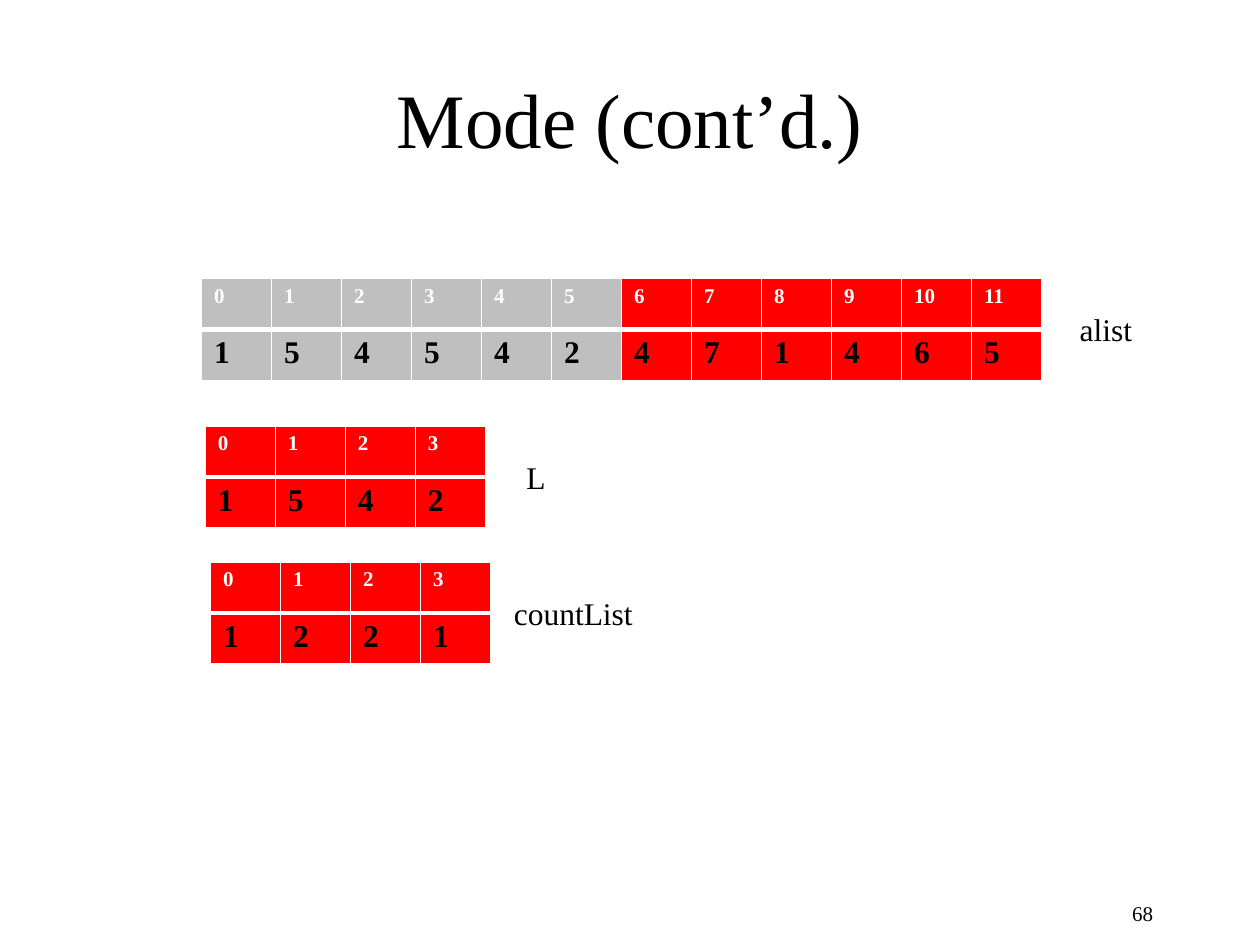
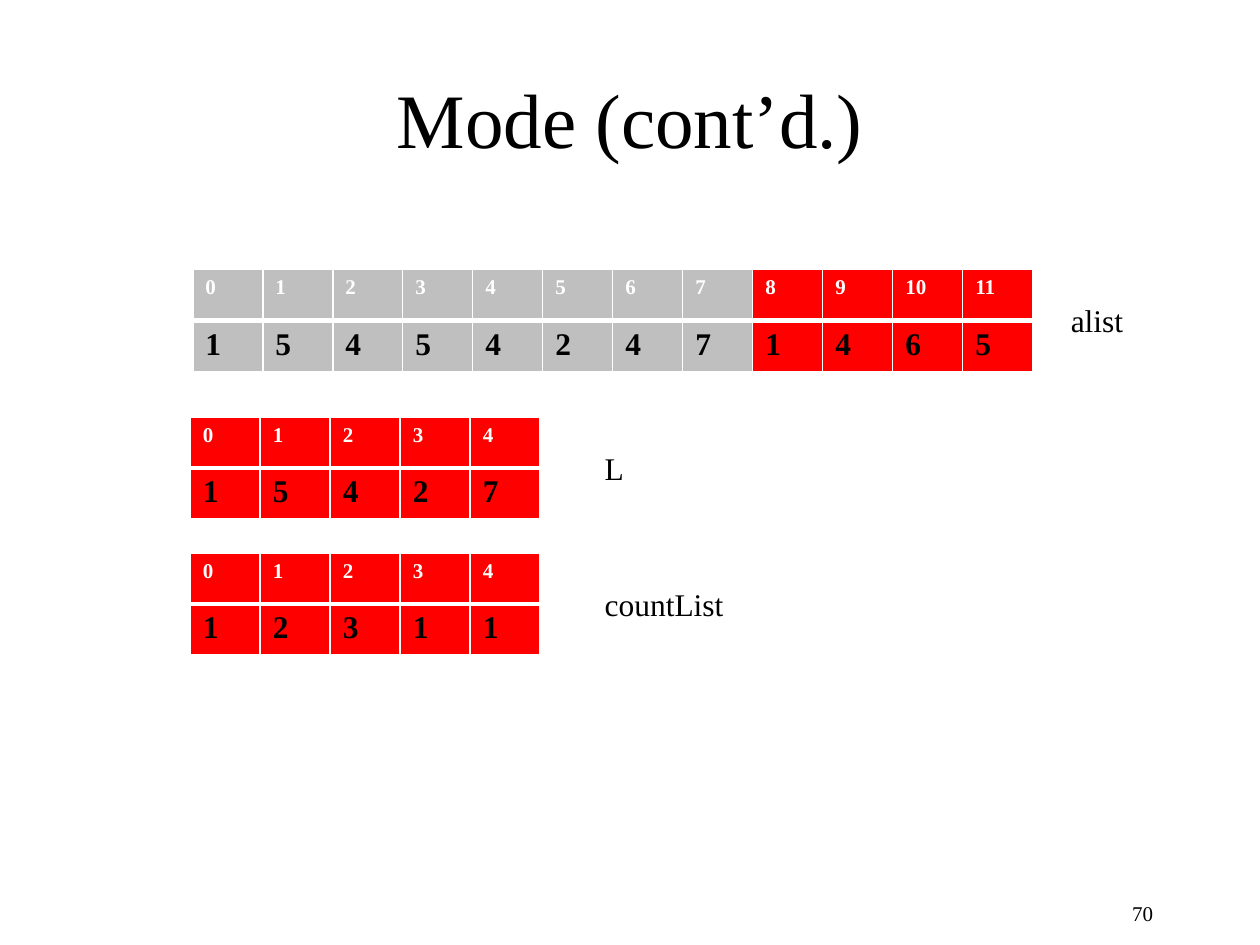
from lxml import etree
from pptx import Presentation
from pptx.dml.color import RGBColor
from pptx.enum.text import MSO_ANCHOR, PP_ALIGN
from pptx.oxml.ns import qn
from pptx.util import Inches, Pt

LEFT, CENTER, RIGHT = PP_ALIGN.LEFT, PP_ALIGN.CENTER, PP_ALIGN.RIGHT
TOP, MIDDLE = MSO_ANCHOR.TOP, MSO_ANCHOR.MIDDLE

SLIDE_WIDTH, SLIDE_HEIGHT = 10, 7.5
COLUMN_WIDTH = SLIDE_WIDTH / 18
ROW_HEIGHT = 0.054 * SLIDE_HEIGHT
LABEL_DROP = ROW_HEIGHT / 2
ARRAY_OFFSETS = (0, 1.17, 2.25)  # tops of the three arrays below the first one

FONT = "Times New Roman"
BLACK, WHITE = "000000", "FFFFFF"
VISITED, ACTIVE = "BFBFBF", "FF0000"
TITLE_SIZE, BODY_SIZE, SMALL_SIZE = 44, 18, 12
THIN, THICK = 1, 3

ALIST = [1, 5, 4, 5, 4, 2, 4, 7, 1, 4, 6, 5]

# Each array: name, values, visited count, table left, label left, label width
STEPS = [
    {"number": "68", "top": 2.21, "arrays": [
        ("alist", ALIST, 6, 1.6, 8.47, 0.77),
        ("L", [1, 5, 4, 2], 0, 1.63, 4.08, 0.77),
        ("countList", [1, 2, 2, 1], 0, 1.67, 3.98, 1.18),
    ]},
    {"number": "70", "top": 2.14, "arrays": [
        ("alist", ALIST, 8, 1.53, 8.4, 0.77),
        ("L", [1, 5, 4, 2, 7], 0, 1.51, 4.7, 0.77),
        ("countList", [1, 2, 3, 1, 1], 0, 1.51, 4.7, 1.18),
    ]},
]


def color(hex_string):
    return RGBColor.from_string(hex_string)


def style_paragraph(paragraph, size, font_color=BLACK, bold=False):
    font = paragraph.font
    font.name, font.size, font.bold = FONT, Pt(size), bold
    font.color.rgb = color(font_color)


def add_text(slide, text, box, size, alignment=LEFT, anchor=TOP, wrap=True):
    frame = slide.shapes.add_textbox(*map(Inches, box)).text_frame
    frame.word_wrap = wrap
    frame.vertical_anchor = anchor
    paragraph = frame.paragraphs[0]
    paragraph.text = text
    paragraph.alignment = alignment
    style_paragraph(paragraph, size)


def set_borders(cell, top, bottom):
    """Draw white borders; top and bottom are line widths in points."""
    properties = cell._tc.get_or_add_tcPr()
    widths = {"a:lnL": THIN, "a:lnR": THIN, "a:lnT": top, "a:lnB": bottom}
    for tag, width in widths.items():
        line = etree.SubElement(properties, qn(tag), w=str(Pt(width)))
        fill = etree.SubElement(line, qn("a:solidFill"))
        etree.SubElement(fill, qn("a:srgbClr"), val=WHITE)


def fill_cell(cell, text, size, font_color, fill_color, top, bottom):
    cell.text = str(text)
    style_paragraph(cell.text_frame.paragraphs[0], size, font_color, bold=True)
    set_borders(cell, top, bottom)
    cell.fill.solid()
    cell.fill.fore_color.rgb = color(fill_color)


def add_array(slide, values, visited, left, top):
    """Show indices above values, with the visited cells in grey."""
    count = len(values)
    table = slide.shapes.add_table(
        2, count, Inches(left), Inches(top),
        Inches(count * COLUMN_WIDTH), Inches(2 * ROW_HEIGHT)).table
    table.first_row = table.horz_banding = False
    for index, value in enumerate(values):
        fill_color = VISITED if index < visited else ACTIVE
        fill_cell(table.cell(0, index), index, SMALL_SIZE, WHITE, fill_color, THIN, THICK)
        fill_cell(table.cell(1, index), value, BODY_SIZE, BLACK, fill_color, THICK, THIN)


def add_step_slide(presentation, step):
    slide = presentation.slides.add_slide(presentation.slide_layouts[6])
    add_text(slide, "Mode (cont’d.)", (0.75, 0.31, 8.5, 1.25), TITLE_SIZE, CENTER, MIDDLE)
    add_text(slide, step["number"], (7.17, 7, 2.08, 0.5), SMALL_SIZE, RIGHT, MIDDLE, wrap=False)
    for offset, array in zip(ARRAY_OFFSETS, step["arrays"]):
        name, values, visited, left, label_left, label_width = array
        top = step["top"] + offset
        add_array(slide, values, visited, left, top)
        add_text(slide, name, (label_left, top + LABEL_DROP, label_width, 0.4), BODY_SIZE)


def main():
    presentation = Presentation()
    presentation.slide_width = Inches(SLIDE_WIDTH)
    presentation.slide_height = Inches(SLIDE_HEIGHT)
    for step in STEPS:
        add_step_slide(presentation, step)
    presentation.save("out.pptx")


if __name__ == "__main__":
    main()
